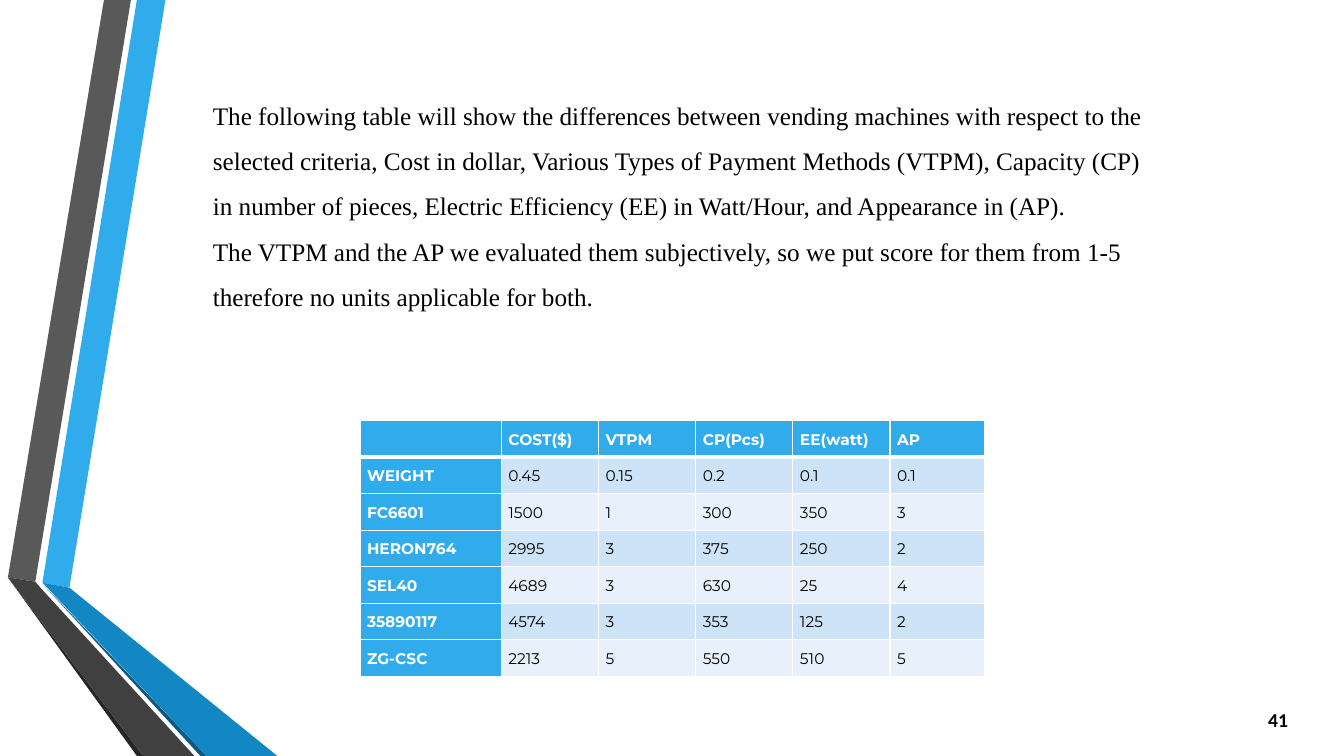
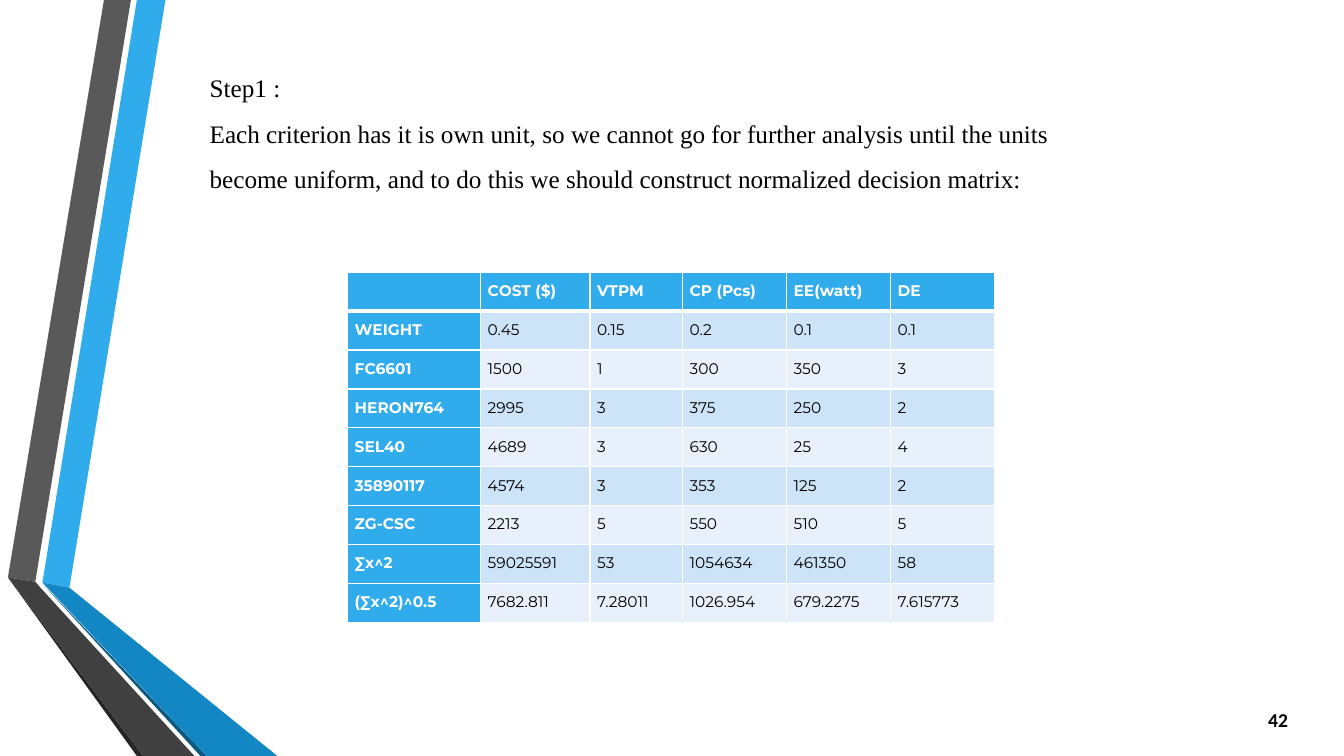
from lxml.etree import SubElement
from pptx import Presentation
from pptx.dml.color import RGBColor
from pptx.enum.text import MSO_ANCHOR, MSO_AUTO_SIZE, PP_ALIGN
from pptx.oxml.ns import qn
from pptx.util import Cm, Pt

BLUE, WHITE, BLACK = "30ACEC", "FFFFFF", "000000"
TINTS = ["E8F1FB", "CDE3F8"]

BODY = {"name": "Times New Roman", "size": Pt(18), "bold": False}
CELL = {"name": "Montserrat", "size": Pt(11), "bold": False}
HEAD = {**CELL, "bold": True}
PAGE = {"name": "Calibri", "size": Pt(14), "bold": True}
LINES = {"line_spacing": 1.5, "space_before": Pt(0), "space_after": Pt(0)}
INSET = {
    "margin_left": Cm(0.18),
    "margin_right": Cm(0.18),
    "margin_top": 0,
    "margin_bottom": 0,
    "vertical_anchor": MSO_ANCHOR.TOP,
}

BANDS = [
    (BLUE, [(1.07, 14.68), (1.75, 14.81), (4.17, 0), (3.45, 0)]),
    ("595959", [(3.3, 0), (2.62, 0), (0.2, 14.55), (0.89, 14.66)]),
    ("262626", [(0.2, 14.55), (3.45, 19.05), (3.61, 19.05)]),
    ("0C5A82", [(1.07, 14.71), (5.05, 19.05), (5.21, 19.05)]),
    ("1287C3", [(1.07, 14.68), (5.21, 19.05), (6.99, 19.05), (1.75, 14.81)]),
    ("404040", [(4.9, 19.05), (1.02, 14.81), (0.89, 14.66), (0.2, 14.55), (3.61, 19.05)]),
]

ROWS = [
    ["WEIGHT", "0.45", "0.15", "0.2", "0.1", "0.1"],
    ["FC6601", "1500", "1", "300", "350", "3"],
    ["HERON764", "2995", "3", "375", "250", "2"],
    ["SEL40", "4689", "3", "630", "25", "4"],
    ["35890117", "4574", "3", "353", "125", "2"],
    ["ZG-CSC", "2213", "5", "550", "510", "5"],
]
SUMS = [
    ["∑x^2", "59025591", "53", "1054634", "461350", "58"],
    ["(∑x^2)^0.5", "7682.811", "7.28011", "1026.954", "679.2275", "7.615773"],
]

SLIDES = [
    {
        "page": "41",
        "box": (5.11, 2.01, 24.03, 5.89),
        "text": [
            "The following table will show the differences between vending machines with respect to the "
            "selected criteria, Cost in dollar, Various Types of Payment Methods (VTPM), Capacity (CP) "
            "in number of pieces, Electric Efficiency (EE) in Watt/Hour, and Appearance in (AP).",
            "The VTPM and the AP we evaluated them subjectively, so we put score for them from 1-5 "
            "therefore no units applicable for both.",
        ],
        "place": (9.07, 10.6),
        "wide": [3.56, 2.45, 2.45, 2.45, 2.45, 2.39],
        "high": 0.92,
        "rows": [["", "COST($)", "VTPM", "CP(Pcs)", "EE(watt)", "AP"]] + ROWS,
    },
    {
        "page": "42",
        "box": (5.03, 1.32, 23.77, 3.58),
        "text": [
            "Step1 :",
            "Each criterion has it is own unit, so we cannot go for further analysis until the units become "
            "uniform, and to do this we should construct normalized decision matrix:",
        ],
        "place": (8.76, 6.86),
        "wide": [3.35, 2.76, 2.33, 2.62, 2.62, 2.62],
        "high": 0.98,
        "rows": [["", "COST ($)", "VTPM", "CP (Pcs)", "EE(watt)", "DE"]] + ROWS + SUMS,
    },
]


def hue(code):
    return RGBColor.from_string(code)


def style(item, form, color=None):
    for key, value in form.items():
        setattr(item, key, value)
    if color:
        item.color.rgb = hue(color)


deck = Presentation()
deck.slide_width, deck.slide_height = Cm(33.87), Cm(19.05)
layout = deck.slide_layouts[1]
for holder in list(layout.placeholders):
    if holder.placeholder_format.idx != 1:
        holder.element.getparent().remove(holder.element)

pages = [deck.slides.add_slide(layout) for _ in SLIDES]

for color, points in BANDS:
    spots = [(Cm(x), Cm(y)) for x, y in points]
    draft = pages[0].shapes.build_freeform(*spots[0])
    draft.add_line_segments(spots[1:], close=True)
    band = draft.convert_to_shape()
    band.shadow.inherit = False
    band.fill.solid()
    band.fill.fore_color.rgb = hue(color)
    band.line.fill.background()
    layout.shapes.element.append(band.element)

for slide, data in zip(pages, SLIDES):
    label = slide.shapes.add_textbox(Cm(31.19), Cm(17.63), Cm(1.52), Cm(1.02))
    style(label.text_frame, {"word_wrap": True, "vertical_anchor": MSO_ANCHOR.MIDDLE})
    para = label.text_frame.paragraphs[0]
    para.alignment = PP_ALIGN.RIGHT
    run = para.add_run()
    run.text = data["page"]
    style(run.font, PAGE, BLACK)

    body = slide.placeholders[1]
    sides = ["left", "top", "width", "height"]
    style(body, {side: Cm(size) for side, size in zip(sides, data["box"])})
    frame = body.text_frame
    frame.text = "\n".join(data["text"])
    frame.auto_size = MSO_AUTO_SIZE.NONE
    for para in frame.paragraphs:
        style(para, LINES)
        props = para._p.get_or_add_pPr()
        props.set("marL", "0")
        props.set("indent", "0")
        SubElement(props, qn("a:buNone"))
        style(para.runs[0].font, BODY, BLACK)

    rows, wide, high = data["rows"], data["wide"], data["high"]
    left, top = data["place"]
    table = slide.shapes.add_table(
        len(rows), len(wide), Cm(left), Cm(top), Cm(sum(wide)), Cm(high * len(rows))
    ).table
    for column, size in zip(table.columns, wide):
        column.width = Cm(size)

    for i, row in enumerate(rows):
        table.rows[i].height = Cm(high)
        for j, word in enumerate(row):
            cell = table.cell(i, j)
            style(cell, INSET)
            props = cell._tc.get_or_add_tcPr()
            for edge in ["lnL", "lnR", "lnT", "lnB"]:
                thick = (i, edge) in [(0, "lnB"), (1, "lnT")]
                line = SubElement(props, qn("a:" + edge), w=str(Pt(3 if thick else 1)))
                paint = SubElement(line, qn("a:solidFill"))
                SubElement(paint, qn("a:srgbClr"), val=WHITE)
            bold = i == 0 or j == 0
            cell.fill.solid()
            cell.fill.fore_color.rgb = hue(BLUE if bold else TINTS[i % 2])
            if word:
                cell.text = word
                para = cell.text_frame.paragraphs[0]
                style(para, LINES)
                style(para.runs[0].font, HEAD if bold else CELL, WHITE if bold else BLACK)

deck.save("out.pptx")
